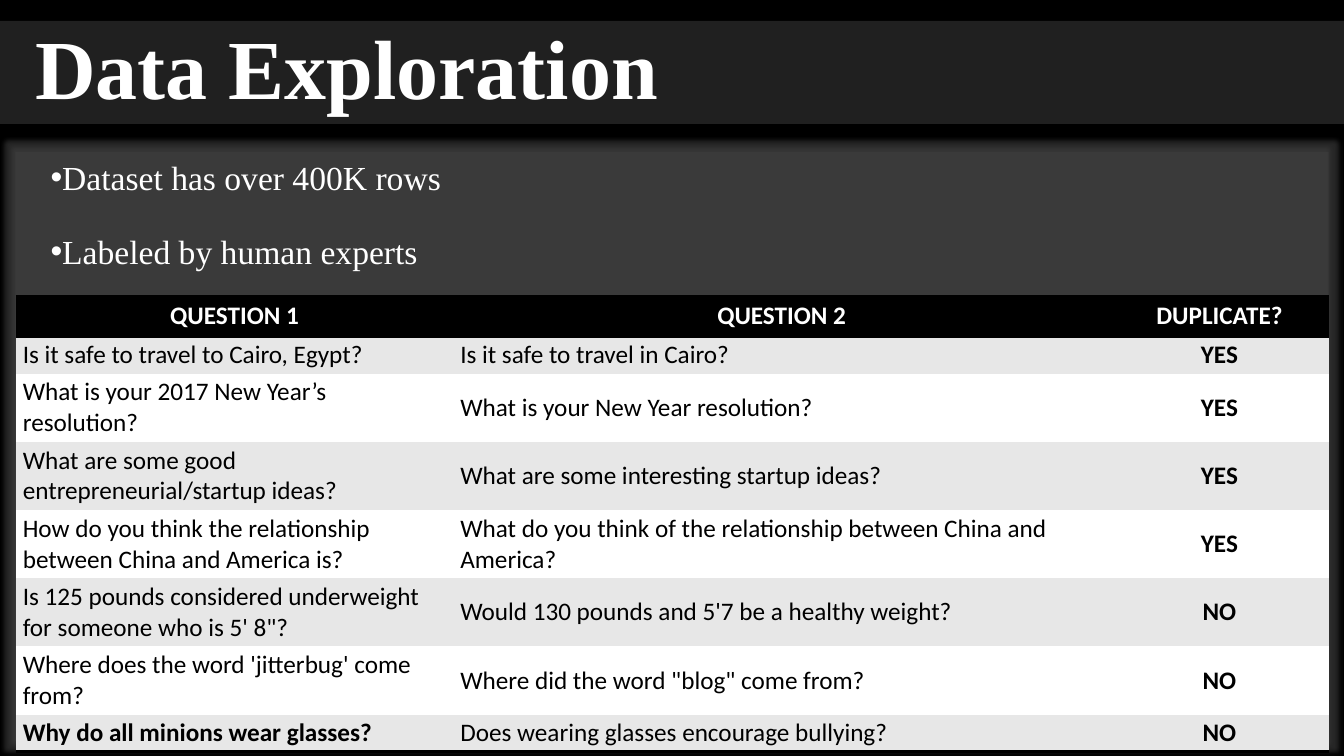
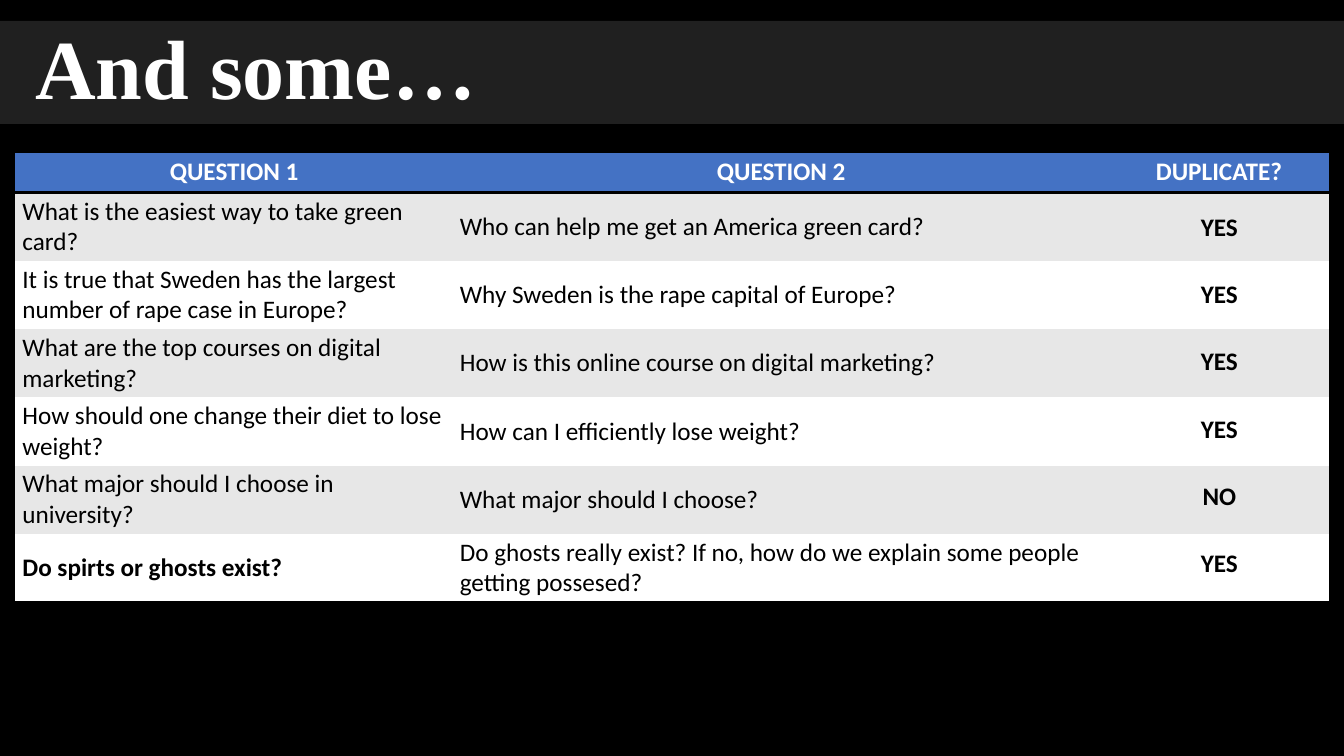
from lxml import etree
from pptx import Presentation
from pptx.dml.color import RGBColor
from pptx.enum.shapes import MSO_SHAPE
from pptx.enum.text import MSO_ANCHOR, PP_ALIGN
from pptx.oxml.ns import qn
from pptx.util import Pt

RECT = MSO_SHAPE.RECTANGLE
TOP, MIDDLE = MSO_ANCHOR.TOP, MSO_ANCHOR.MIDDLE
LEFT, CENTER = PP_ALIGN.LEFT, PP_ALIGN.CENTER
NO_GRID = "{2D5ABB26-0587-4C30-8999-92F81FD0307C}"

COLORS = {"black": "000000", "white": "FFFFFF", "panel": "404040",
          "stripe": "E7E7E7", "blue": "4472C4"}
SERIF, SANS = "Times New Roman", "Calibri"
WIDTH, HEIGHT = 960, 540
COLUMNS = (312.5, 469, 156.5)
HEADINGS = ("QUESTION 1", "QUESTION 2", "DUPLICATE?")
HEADER_H, ONE_LINE, TWO_LINES = 29.2, 26.3, 48.75


def rgb(name):
    return RGBColor.from_string(COLORS[name])


class Deck:
    """Holds the shared style and the slide being built."""

    def __init__(self):
        self.prs = Presentation()
        self.prs.slide_width, self.prs.slide_height = Pt(WIDTH), Pt(HEIGHT)
        self.s = None

    def slide(self, title):
        self.s = self.prs.slides.add_slide(self.prs.slide_layouts[6])
        fill = self.s.background.fill
        fill.solid()
        fill.fore_color.rgb = rgb("black")
        # Title band
        tf = self.panel(0, 15, WIDTH, 73.5).text_frame
        tf.vertical_anchor = MIDDLE
        p = tf.paragraphs[0]
        p.line_spacing = 0.9
        p._p.get_or_add_pPr().set("marL", str(Pt(18)))
        self.text(p, title, 60, SERIF, "white", bold=True)

    def panel(self, x, y, w, h):
        """Half-transparent grey rectangle with left-aligned text."""
        sp = self.s.shapes.add_shape(RECT, Pt(x), Pt(y), Pt(w), Pt(h))
        sp.shadow.inherit = False
        sp.line.fill.background()
        sp.fill.solid()
        sp.fill.fore_color.rgb = rgb("panel")
        color = sp._element.spPr.find(qn("a:solidFill"))[0]
        etree.SubElement(color, qn("a:alpha"), val="50000")
        sp.text_frame.word_wrap = True
        return sp

    def text(self, p, words, size, font, color, bold=False, align=LEFT):
        p.alignment = align
        r = p.add_run()
        r.text = words
        r.font.size, r.font.name, r.font.bold = Pt(size), font, bold
        r.font.color.rgb = rgb(color)

    def bullets(self, x, y, w, h, lines):
        sp = self.panel(x, y, w, h)
        # Soft grey glow around the panel
        effects = sp._element.spPr.find(qn("a:effectLst"))
        glow = etree.SubElement(effects, qn("a:glow"), rad=str(Pt(5)))
        color = etree.SubElement(glow, qn("a:srgbClr"), val=COLORS["panel"])
        etree.SubElement(color, qn("a:alpha"), val="60000")
        tf = sp.text_frame
        tf.vertical_anchor = TOP
        for i, line in enumerate(lines):
            p = tf.add_paragraph() if i else tf.paragraphs[0]
            p.space_before = Pt(24)
            self.text(p, line, 24, SERIF, "white")
            pPr = p._p.get_or_add_pPr()
            pPr.set("marL", "0")
            pPr.set("indent", str(Pt(18)))
            etree.SubElement(pPr, qn("a:buFont"), typeface="Arial")
            etree.SubElement(pPr, qn("a:buChar"), char="•")

    def verdicts(self, x, y, pitch, words):
        """Column of bold labels at an even pitch."""
        for i, word in enumerate(words):
            tf = self.s.shapes.add_textbox(
                Pt(x), Pt(y + i * pitch), Pt(41), Pt(29)).text_frame
            tf.word_wrap = False
            self.text(tf.paragraphs[0], word, 18, SANS, "black", True, CENTER)

    def cell(self, cell, words, fill, color, bold, align):
        cell.fill.solid()
        cell.fill.fore_color.rgb = rgb(fill)
        if words:
            self.text(cell.text_frame.paragraphs[0], words, 18, SANS, color,
                      bold, align)

    def border(self, cell, *sides):
        """Black 2 pt lines; they must stand before the cell's fill."""
        tcPr = cell._tc.get_or_add_tcPr()
        for i, side in enumerate(sides):
            ln = etree.Element(qn("a:" + side), w=str(Pt(2)))
            fill = etree.SubElement(ln, qn("a:solidFill"))
            etree.SubElement(fill, qn("a:srgbClr"), val=COLORS["black"])
            tcPr.insert(i, ln)

    def questions(self, x, y, header_fill, rows):
        """Table of question pairs; each row is (height, q1, q2, verdict)."""
        heights = [HEADER_H] + [row[0] for row in rows]
        table = self.s.shapes.add_table(
            len(heights), len(COLUMNS), Pt(x), Pt(y),
            Pt(sum(COLUMNS)), Pt(sum(heights))).table
        table.horz_banding = False
        table._tbl.tblPr.find(qn("a:tableStyleId")).text = NO_GRID
        for col, w in zip(table.columns, COLUMNS):
            col.width = Pt(w)
        for row, h in zip(table.rows, heights):
            row.height = Pt(h)
        # Header row
        for c, heading in enumerate(HEADINGS):
            cell = table.cell(0, c)
            self.cell(cell, heading, header_fill, "white", True, CENTER)
            self.border(cell, "lnT", "lnB")
        # Question rows
        last = len(rows)
        for i, (_, *words) in enumerate(rows, 1):
            for c, word in enumerate(words):
                cell = table.cell(i, c)
                cell.vertical_anchor = MIDDLE
                cell.margin_left = cell.margin_right = Pt(5)
                cell.margin_top = cell.margin_bottom = Pt(2.2)
                verdict = c == 2
                bold = verdict or (i == last and c == 0)
                self.cell(cell, word, "stripe" if i % 2 else "white", "black",
                          bold, CENTER if verdict else LEFT)
                if i == last:
                    self.border(cell, "lnB")


def main():
    deck = Deck()

    # Slide 1: the data set and sample pairs
    deck.slide("Data Exploration")
    deck.bullets(11, 108.5, 938, 421,
                 ["Dataset has over 400K rows", "Labeled by human experts"])
    deck.questions(11.3, 211.3, "black", [
        (ONE_LINE, "Is it safe to travel to Cairo, Egypt?",
         "Is it safe to travel in Cairo?", "YES"),
        (TWO_LINES, "What is your 2017 New Year’s resolution?",
         "What is your New Year resolution?", "YES"),
        (TWO_LINES, "What are some good entrepreneurial/startup ideas?",
         "What are some interesting startup ideas?", "YES"),
        (TWO_LINES,
         "How do you think the relationship between China and America is?",
         "What do you think of the relationship between China and America?",
         "YES"),
        (TWO_LINES,
         "Is 125 pounds considered underweight for someone who is 5' 8\"?",
         "Would 130 pounds and 5'7 be a healthy weight?", "NO"),
        (TWO_LINES, "Where does the word 'jitterbug' come from?",
         "Where did the word \"blog\" come from?", "NO"),
        (ONE_LINE, "Why do all minions wear glasses?",
         "Does wearing glasses encourage bullying?", "NO"),
    ])

    # Slide 2: more pairs, with the verdicts laid over the last column
    deck.slide("And some…")
    pairs = [
        ("What is the easiest way to take green card?",
         "Who can help me get an America green card?"),
        ("It is true that Sweden has the largest number of rape case in Europe?",
         "Why Sweden is the rape capital of Europe?"),
        ("What are the top courses on digital marketing?",
         "How is this online course on digital marketing?"),
        ("How should one change their diet to lose weight?",
         "How can I efficiently lose weight?"),
        ("What major should I choose in university?",
         "What major should I choose?"),
        ("Do spirts or ghosts exist?",
         "Do ghosts really exist? If no, how do we explain some people "
         "getting possesed?"),
    ]
    deck.questions(11, 108.4, "blue",
                   [(TWO_LINES, q1, q2, "") for q1, q2 in pairs])
    deck.verdicts(850.5, 147.2, 48.1, ["YES", "YES", "YES", "YES", "NO", "YES"])

    deck.prs.save("out.pptx")


if __name__ == "__main__":
    main()
